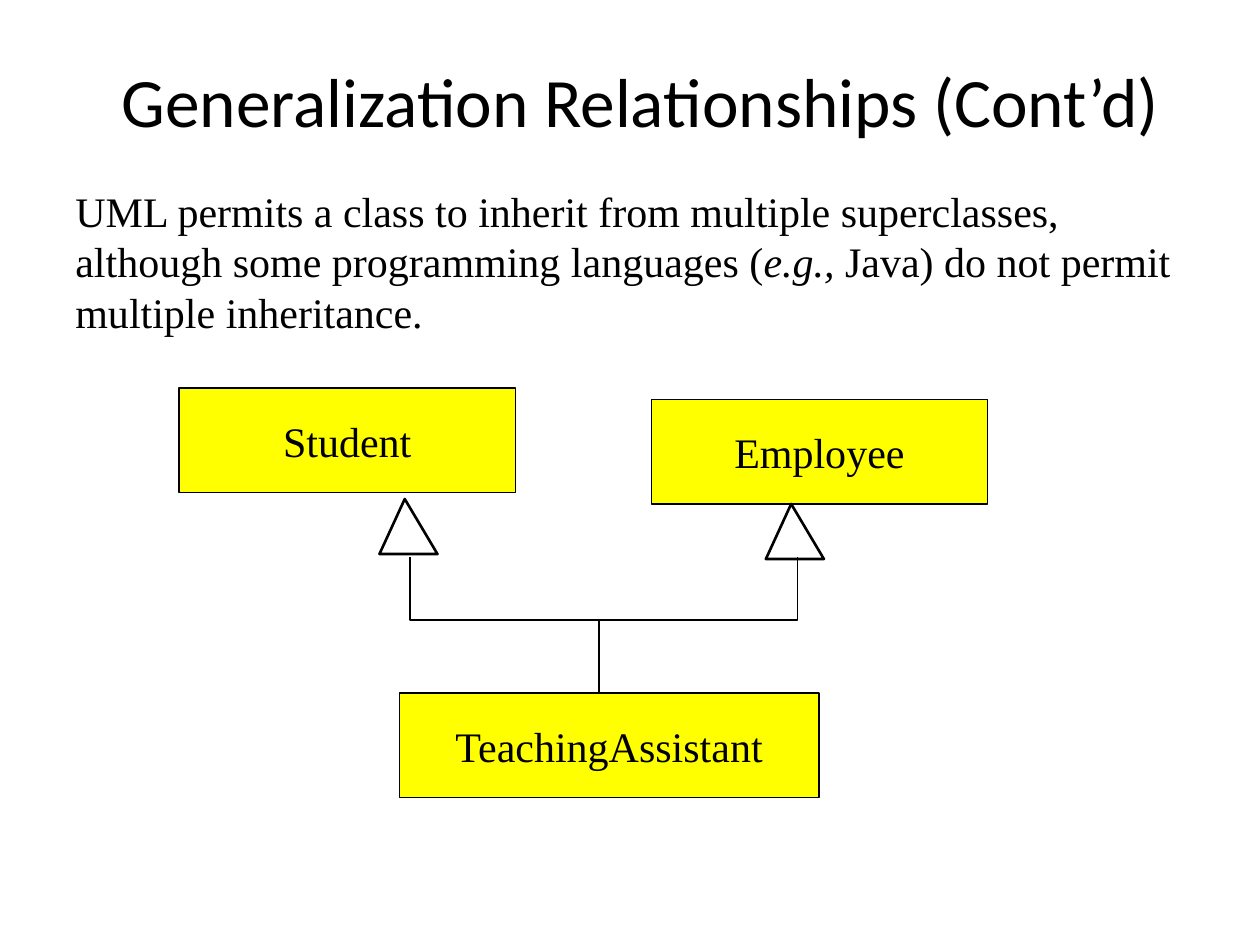
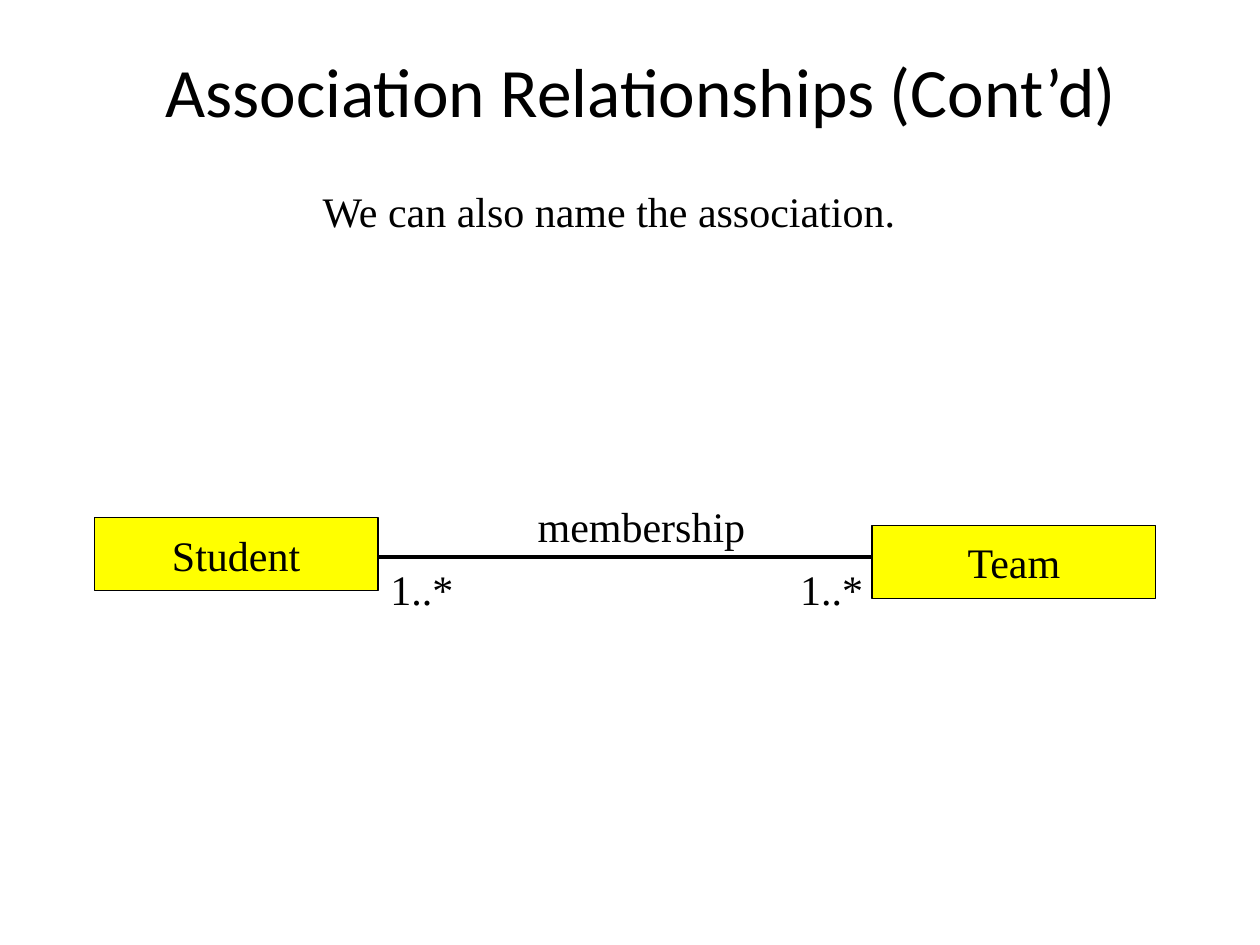
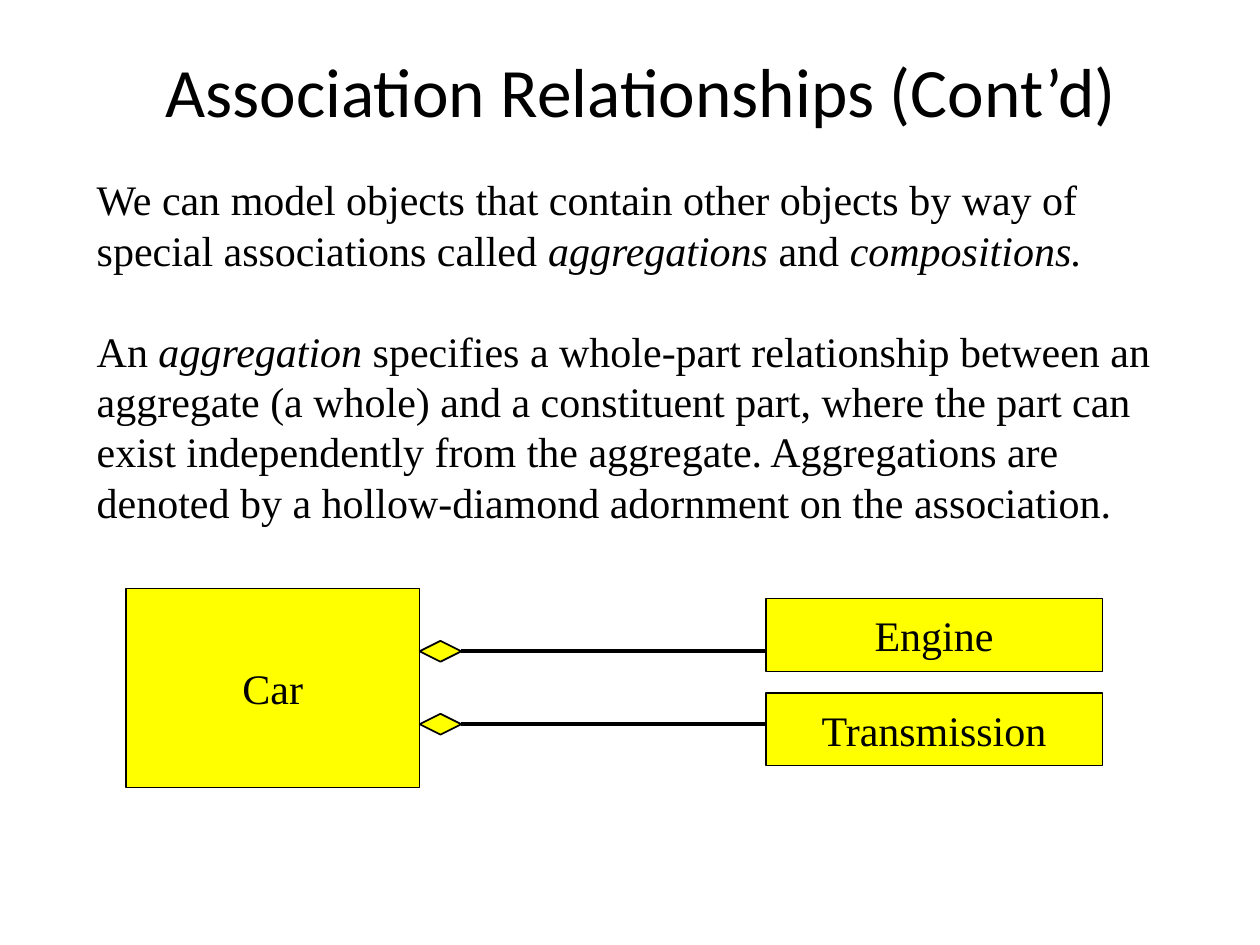
from lxml import etree
from pptx import Presentation
from pptx import util as u
from pptx.dml.color import RGBColor
from pptx.enum import shapes, text
from pptx.oxml.ns import qn

COLORS = {"ink": "000000", "class": "FFFF00", "paper": "FFFFFF"}
TITLE_FONT, BODY_FONT = "Calibri", "Times New Roman"
TITLE_SIZE, BODY_SIZE = 39.6, 24
BLANK_LINE = 28.8
ASSOCIATION_TITLE = "Association Relationships (Cont’d)"
ASSOCIATION_TITLE_BOX = (1.7, 1.07, 22.43, 1.47)


def color(name):
    return RGBColor.from_string(COLORS[name])


def cm(values):
    return [u.Cm(v) for v in values]


def add_run(p, words, font=BODY_FONT, size=BODY_SIZE, italic=False):
    r = p.add_run()
    r.text = words
    r.font.name = font
    r.font.size = u.Pt(size)
    r.font.color.rgb = color("ink")
    if italic:
        r.font.italic = True


def style_shape(sp, fill, width):
    sp.shadow.inherit = False
    if fill:
        sp.fill.solid()
        sp.fill.fore_color.rgb = color(fill)
    else:
        sp.fill.background()
    sp.line.color.rgb = color("ink")
    sp.line.width = u.Pt(width)


def add_slide(prs, title, box):
    s = prs.slides.add_slide(prs.slide_layouts[5])
    sp = s.shapes.title
    sp.left, sp.top, sp.width, sp.height = cm(box)
    tf = sp.text_frame
    tf.auto_size = text.MSO_AUTO_SIZE.NONE
    tf.vertical_anchor = text.MSO_ANCHOR.MIDDLE
    p = tf.paragraphs[0]
    p.alignment = text.PP_ALIGN.CENTER
    add_run(p, title, TITLE_FONT, TITLE_SIZE)
    return s


def add_text(parent, box, paragraphs, align=text.PP_ALIGN.LEFT):
    tf = parent.add_textbox(*cm(box)).text_frame
    tf.word_wrap = True
    tf.auto_size = text.MSO_AUTO_SIZE.SHAPE_TO_FIT_TEXT
    for i, runs in enumerate(paragraphs):
        p = tf.add_paragraph() if i else tf.paragraphs[0]
        p.alignment = align
        if i:
            p.space_before = u.Pt(BLANK_LINE)
        for words, italic in runs:
            add_run(p, words, italic=italic)


def add_label(parent, box, words, align=text.PP_ALIGN.LEFT):
    add_text(parent, box, [[(words, False)]], align)


def add_class(parent, name, box):
    sp = parent.add_shape(shapes.MSO_SHAPE.RECTANGLE, *cm(box))
    style_shape(sp, "class", 0.75)
    tf = sp.text_frame
    tf.word_wrap = True
    tf.vertical_anchor = text.MSO_ANCHOR.MIDDLE
    p = tf.paragraphs[0]
    p.alignment = text.PP_ALIGN.CENTER
    add_run(p, name)


def add_line(parent, start, end, width):
    cx = parent.add_connector(shapes.MSO_CONNECTOR.STRAIGHT, *cm(start + end))
    cx.line.color.rgb = color("ink")
    cx.line.width = u.Pt(width)
    etree.SubElement(cx._element.spPr, qn("a:effectLst"))


def add_outline(parent, points, width, fill=None):
    start, *rest = [cm(point) for point in points]
    builder = parent.build_freeform(*start, scale=1.0)
    builder.add_line_segments(rest, close=fill is not None)
    style_shape(builder.convert_to_shape(), fill, width)


def add_triangle(parent, x, y):
    base = y + 1.11
    add_outline(parent, [(x + 0.51, y), (x, base), (x + 1.17, base)], 1.5, "paper")


def add_aggregation(parent, x, end, y):
    half_w, half_h = 0.42, 0.21
    tip = x + 2 * half_w
    add_line(parent, (tip, y), (end, y), 2.25)
    add_outline(parent, [(x, y), (x + half_w, y - half_h), (tip, y),
                         (x + half_w, y + half_h)], 1, "class")


def generalization_slide(prs):
    s = add_slide(prs, "Generalization Relationships (Cont’d)", (0, 1.27, 25.83, 1.47))
    add_text(s.shapes, (1.27, 3.61, 22.66, 3.3), [[
        ("UML permits a class to inherit from multiple superclasses, although some "
         "programming languages (", False),
        ("e.g.,", True),
        (" Java) do not permit multiple inheritance.", False)]])
    for name, box in [("Student", (3.61, 7.82, 6.78, 2.11)),
                      ("Employee", (13.13, 8.05, 6.78, 2.11)),
                      ("TeachingAssistant", (8.05, 13.97, 8.46, 2.11))]:
        add_class(s.shapes, name, box)
    for x, y in [(7.65, 10.06), (15.44, 10.16)]:
        add_triangle(s.shapes, x, y)
    left, right, top, joint = 8.26, 16.08, 11.23, 12.5
    add_outline(s.shapes, [(left, top), (left, joint), (right, joint), (right, top)], 1)
    add_line(s.shapes, (12.07, joint), (12.07, 13.97), 1)


def named_association_slide(prs):
    s = add_slide(prs, ASSOCIATION_TITLE, ASSOCIATION_TITLE_BOX)
    add_label(s.shapes, (4.24, 3.61, 16.08, 1.27), "We can also name the association.",
              text.PP_ALIGN.CENTER)
    line_y = 11.23
    add_line(s.shapes, (7.62, line_y), (17.78, line_y), 2.25)
    add_class(s.shapes, "Team", (17.58, 10.59, 5.72, 1.47))
    add_class(s.shapes, "Student", (1.9, 10.44, 5.72, 1.47))
    add_label(s.shapes, (10.59, 9.96, 4.88, 1.27), "membership")
    for x, width in [(7.62, 2.11), (15.88, 1.9)]:
        add_label(s.shapes, (x, line_y, width, 1.27), "1..*")


def aggregation_slide(prs):
    s = add_slide(prs, ASSOCIATION_TITLE, ASSOCIATION_TITLE_BOX)
    add_text(s.shapes, (1.7, 3.38, 21.79, 7.37), [
        [("We can model objects that contain other objects by way of special "
          "associations called ", False),
         ("aggregations", True), (" and ", False), ("compositions.", True)],
        [("An ", False), ("aggregation", True),
         (" specifies a whole-part relationship between an aggregate (a whole) and a "
          "constituent part, where the part can exist independently from the aggregate. "
          "Aggregations are denoted by a hollow-diamond adornment on the association.",
          False)]])
    diagram = s.shapes.add_group_shape().shapes
    add_class(diagram, "Car", (2.54, 11.86, 5.92, 4.01))
    part_x = 15.44
    for name, top, line_y in [("Engine", 12.07, 13.13), ("Transmission", 13.97, 14.6)]:
        add_class(diagram, name, (part_x, top, 6.78, 1.47))
        add_aggregation(diagram, 8.46, part_x, line_y)


def main():
    prs = Presentation()
    prs.slide_width, prs.slide_height = u.Cm(25.4), u.Cm(19.05)
    generalization_slide(prs)
    named_association_slide(prs)
    aggregation_slide(prs)
    prs.save("out.pptx")


if __name__ == "__main__":
    main()
